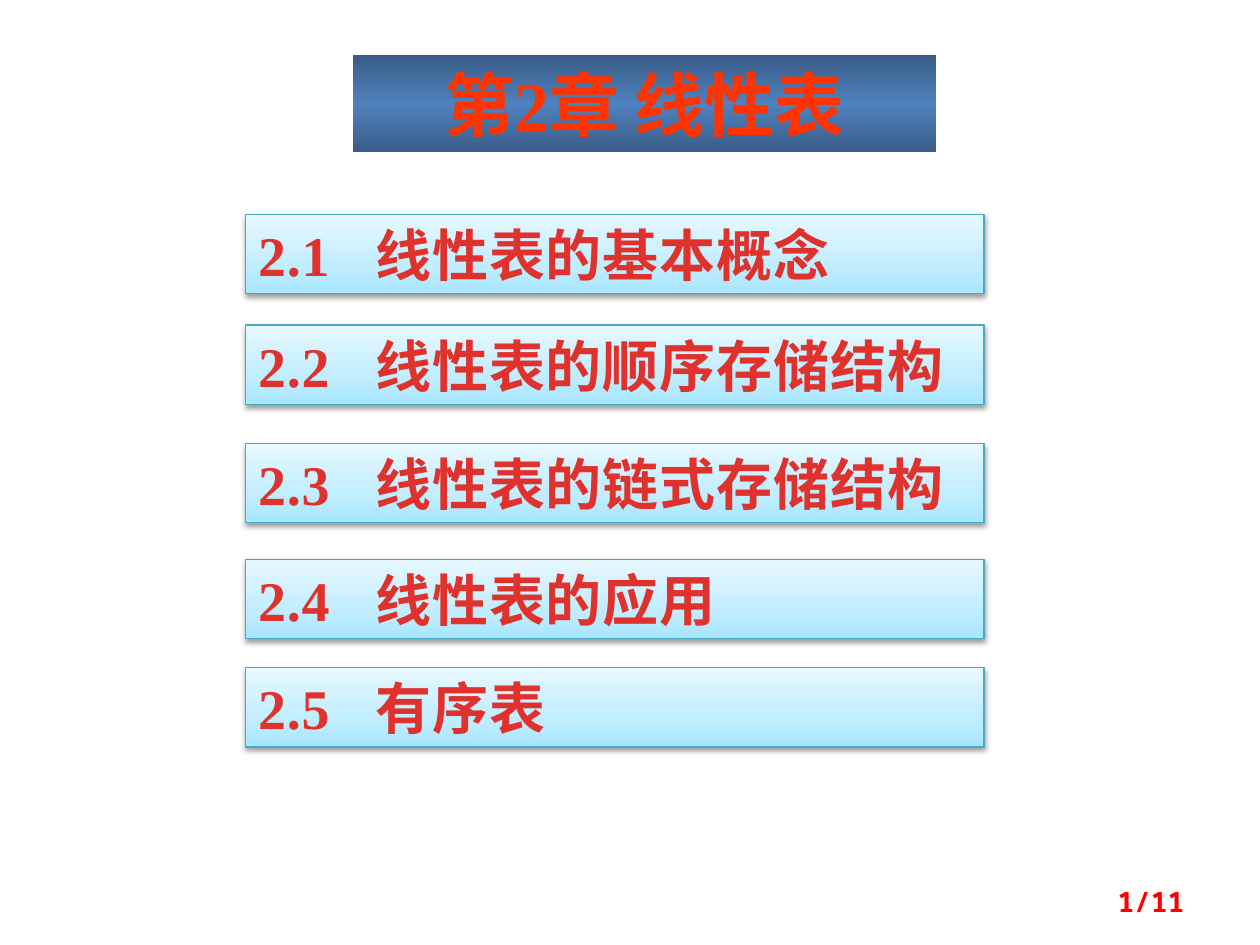
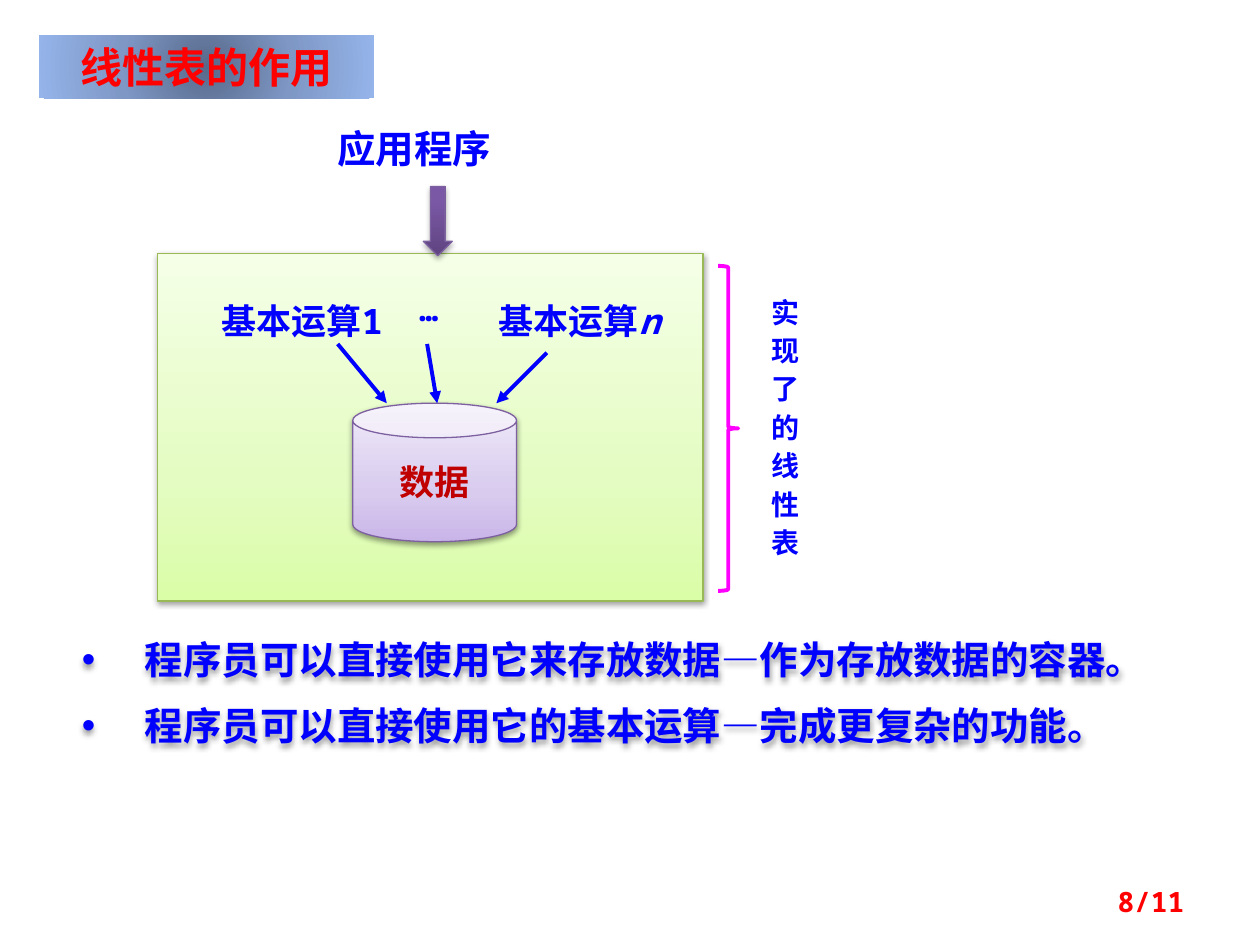
from lxml.etree import SubElement
from pptx import Presentation
from pptx.dml.color import RGBColor
from pptx.enum.shapes import MSO_CONNECTOR, MSO_SHAPE
from pptx.enum.text import MSO_ANCHOR, MSO_AUTO_SIZE, PP_ALIGN
from pptx.oxml.ns import qn
from pptx.util import Inches, Pt

COLORS = {
    "red": "FF0000",
    "orange": "FF3300",
    "dark_red": "C00000",
    "blue": "0000FF",
    "magenta": "FF00FF",
    "cyan_line": "46AAC5",
    "green_line": "98B955",
    "purple_line": "7D60A0",
}
GRADIENTS = {
    "chapter": [(0, "395C87"), (50, "4F81BD"), (100, "395C87")],
    "topic": [(0, "586A8B"), (50, "7E97C5"), (100, "95B4EA")],
    "cyan": [(0, "A7E6FF"), (35, "C1EDFF"), (100, "E7F8FF")],
    "green": [(0, "DAFDA7"), (35, "E4FCC2"), (100, "F5FFE7")],
    "lilac": [(0, "C9B5E8"), (35, "D8CBEE"), (100, "F0EAF9")],
    "purple": [(0, "5F4480"), (80, "7B58A6"), (100, "7C57A8")],
    "red_text": [(25, "E0322D"), (100, "A2201C")],
}
MONO = "Noto Sans Mono"
SERIF = "Times New Roman"
TITLE_ONLY, TITLE_AND_BODY = 5, 1
PAGE_COUNT = 11


class Deck:
    def __init__(self):
        self.prs = Presentation()
        self.prs.slide_width = Inches(10)
        self.prs.slide_height = Inches(7.5)
        self.s = None

    def new_slide(self, layout, page):
        self.s = self.prs.slides.add_slide(self.prs.slide_layouts[layout])
        self.text((7.17, 6.95, 2.33, 0.4), f"{page}/{PAGE_COUNT}", size=16, color="red",
                  align=PP_ALIGN.RIGHT, anchor=MSO_ANCHOR.MIDDLE)

    def place(self, sp, box):
        sp.left, sp.top, sp.width, sp.height = map(Inches, box)

    def paint(self, fill, parent, name, angle=270, radial=False):
        fill.gradient()
        grad = parent.find(qn("a:gradFill"))
        for child in list(grad):
            grad.remove(child)
        stops = SubElement(grad, qn("a:gsLst"))
        for pos, color in GRADIENTS[name]:
            stop = SubElement(stops, qn("a:gs"), pos=str(pos * 1000))
            SubElement(stop, qn("a:srgbClr"), val=color)
        if radial:
            shade = SubElement(grad, qn("a:path"), {"path": "circle"})
            SubElement(shade, qn("a:fillToRect"), {side: "50000" for side in "ltrb"})
        else:
            SubElement(grad, qn("a:lin"), ang=str(angle * 60000), scaled="0")

    def outline(self, line, color, width):
        line.color.rgb = RGBColor.from_string(COLORS[color])
        line.width = Pt(width)

    def cast_shadow(self, sp, alpha=38):
        sp.shadow.inherit = False
        effects = sp._element.spPr.find(qn("a:effectLst"))
        shadow = SubElement(effects, qn("a:outerShdw"), blurRad="40000", dist="20000",
                            dir="5400000", rotWithShape="0")
        color = SubElement(shadow, qn("a:srgbClr"), val="000000")
        SubElement(color, qn("a:alpha"), val=str(alpha * 1000))

    def style_run(self, r, size, color, font, spacing):
        r.font.size = Pt(size)
        r.font.name = font
        r.font.bold = True
        if color in GRADIENTS:
            self.paint(r.font.fill, r._r.rPr, color, angle=90)
        else:
            r.font.color.rgb = RGBColor.from_string(COLORS[color])
        if spacing:
            r._r.rPr.set("spc", str(int(spacing * 100)))

    def set_text(self, sp, text, size=20, color="blue", font=MONO, align=PP_ALIGN.LEFT,
                 anchor=MSO_ANCHOR.TOP, spacing=0, italic_end="", wrap=True):
        tf = sp.text_frame
        tf.text = text
        tf.word_wrap = wrap
        tf.auto_size = MSO_AUTO_SIZE.NONE
        tf.vertical_anchor = anchor
        if italic_end:
            r = tf.paragraphs[0].add_run()
            r.text = italic_end
            r.font.italic = True
        for p in tf.paragraphs:
            p.alignment = align
            p.space_before = Pt(0)
            for r in p.runs:
                self.style_run(r, size, color, font, spacing)

    def title(self, box, text, gradient, radial=False, **style):
        sp = self.s.shapes.title
        self.place(sp, box)
        self.paint(sp.fill, sp._element.spPr, gradient, angle=90, radial=radial)
        self.set_text(sp, text, align=PP_ALIGN.CENTER, **style)

    def bullets(self, box, items, size):
        sp = self.s.placeholders[1]
        self.place(sp, box)
        self.set_text(sp, "\n".join(items), size=size)
        indent = Inches(0.5)
        for i, p in enumerate(sp.text_frame.paragraphs):
            p.space_before = Pt(size / 2 if i else 0)
            pPr = p._p.get_or_add_pPr()
            pPr.set("marL", str(indent))
            pPr.set("indent", str(-indent))
        self.cast_shadow(sp)

    def text(self, box, text, vertical=False, **style):
        sp = self.s.shapes.add_textbox(*map(Inches, box))
        self.set_text(sp, text, **style)
        if vertical:
            sp.text_frame._txBody.bodyPr.set("vert", "eaVert")

    def shape(self, kind, box, gradient, line, shadow=38):
        sp = self.s.shapes.add_shape(kind, *map(Inches, box))
        self.paint(sp.fill, sp._element.spPr, gradient)
        self.outline(sp.line, line, 0.75)
        self.cast_shadow(sp, shadow)
        return sp

    def section_bar(self, box, number, name):
        sp = self.shape(MSO_SHAPE.RECTANGLE, box, "cyan", "cyan_line")
        self.set_text(sp, f"{number}\t{name}", size=32, color="red_text", font=SERIF, spacing=0.5)
        tabs = SubElement(sp.text_frame.paragraphs[0]._p.get_or_add_pPr(), qn("a:tabLst"))
        SubElement(tabs, qn("a:tab"), pos=str(Inches(0.93)), algn="l")

    def brace(self, box, color):
        sp = self.s.shapes.add_shape(MSO_SHAPE.RIGHT_BRACE, *map(Inches, box))
        sp.fill.background()
        sp.shadow.inherit = False
        self.outline(sp.line, color, 2.25)

    def arrow(self, start, end):
        c = self.s.shapes.add_connector(MSO_CONNECTOR.STRAIGHT, *map(Inches, start + end))
        self.outline(c.line, "blue", 2.25)
        spPr = c._element.spPr
        SubElement(spPr.find(qn("a:ln")), qn("a:tailEnd"), type="triangle")
        SubElement(spPr, qn("a:effectLst"))


def chapter_slide(deck):
    deck.new_slide(TITLE_ONLY, 1)
    deck.title((2.8, 0.44, 4.63, 0.77), "第2章 线性表", "chapter",
               size=40, color="orange", font=SERIF)
    sections = [
        (1.7, "线性表的基本概念"),
        (2.58, "线性表的顺序存储结构"),
        (3.52, "线性表的链式存储结构"),
        (4.44, "线性表的应用"),
        (5.3, "有序表"),
    ]
    for i, (top, name) in enumerate(sections, 1):
        deck.section_bar((1.95, top, 5.86, 0.63), f"2.{i}", name)


def role_slide(deck):
    deck.new_slide(TITLE_AND_BODY, 8)
    deck.title((0.31, 0.28, 2.66, 0.5), "线性表的作用", "topic", radial=True,
               size=24, color="red")
    deck.shape(MSO_SHAPE.RECTANGLE, (1.25, 2.01, 4.33, 2.76), "green", "green_line")
    data = deck.shape(MSO_SHAPE.CAN, (2.8, 3.2, 1.3, 1.1), "lilac", "purple_line")
    deck.set_text(data, "数据", color="dark_red", align=PP_ALIGN.CENTER,
                  anchor=MSO_ANCHOR.MIDDLE, wrap=False)
    deck.text((1.66, 2.33, 1.5, 0.43), "基本运算1")
    deck.text((3.86, 2.33, 1.5, 0.43), "基本运算", italic_end="n")
    deck.text((3.23, 2.25, 0.55, 0.4), "…", size=18)
    for start, end in [((2.68, 2.73), (3.07, 3.2)),
                       ((4.34, 2.8), (3.94, 3.2)),
                       ((3.39, 2.73), (3.47, 3.2))]:
        deck.arrow(start, end)
    deck.text((2.58, 0.94, 1.95, 0.47), "应用程序", size=22)
    deck.shape(MSO_SHAPE.DOWN_ARROW, (3.36, 1.48, 0.23, 0.55), "purple", "purple_line", shadow=35)
    deck.brace((5.7, 2.11, 0.16, 2.58), "magenta")
    deck.text((5.94, 2.27, 0.47, 2.34), "实现了的线性表", vertical=True, size=16,
              align=PP_ALIGN.CENTER, spacing=6)
    deck.bullets((0.55, 5, 8.83, 1.03), [
        "程序员可以直接使用它来存放数据—作为存放数据的容器。",
        "程序员可以直接使用它的基本运算—完成更复杂的功能。",
    ], size=22)


def main():
    deck = Deck()
    chapter_slide(deck)
    role_slide(deck)
    deck.prs.save("out.pptx")


if __name__ == "__main__":
    main()
